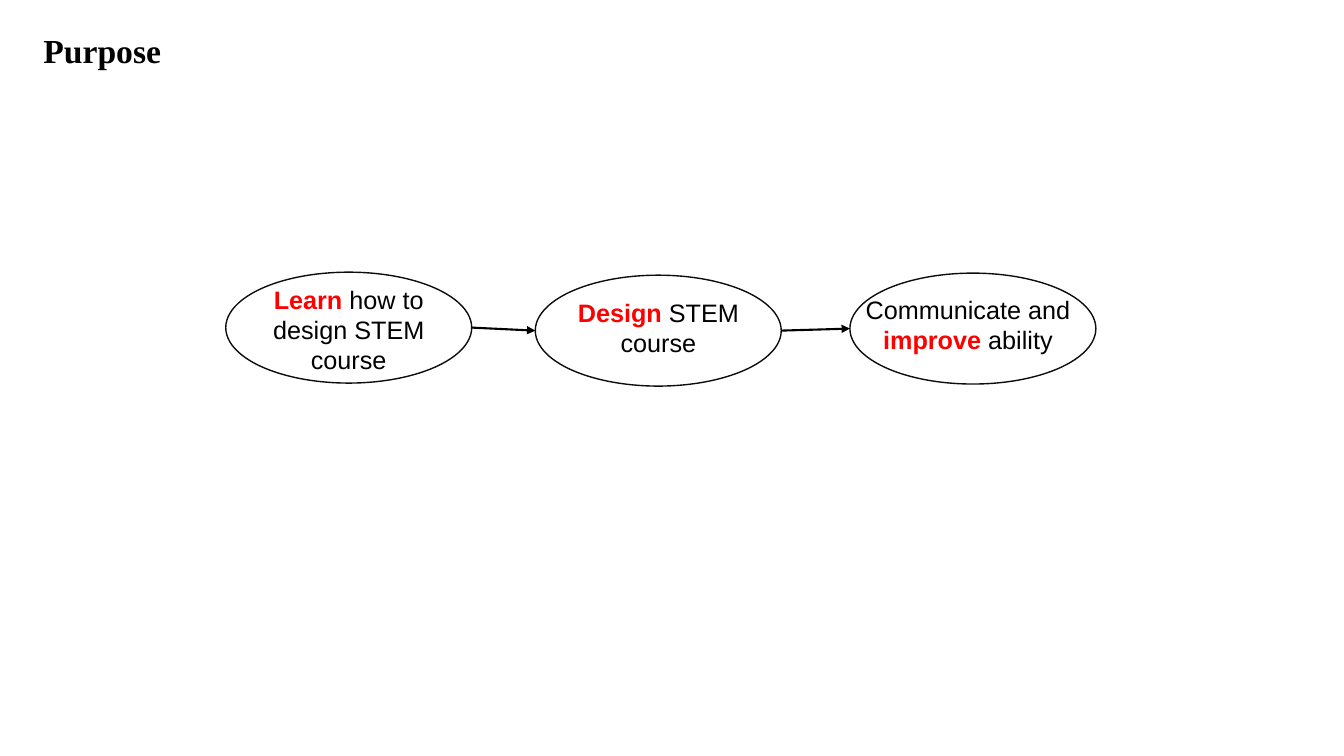
from typing import NamedTuple

from lxml.etree import SubElement
from pptx import Presentation
from pptx.dml.color import RGBColor
from pptx.enum.shapes import MSO_CONNECTOR as Connector, MSO_SHAPE as Shape
from pptx.enum.text import MSO_ANCHOR as Anchor, MSO_AUTO_SIZE as AutoSize, PP_ALIGN as Align
from pptx.oxml.ns import qn
from pptx.util import Inches, Pt

WIDTH, HEIGHT = Inches(13.33), Inches(7.5)
COLORS = {"text": "000000", "accent": "FF0000", "outline": "0D0D0D"}
OVAL_W, OVAL_H = 18.3, 14.67  # percent of the slide's width and height


class Box(NamedTuple):
    """Position and size in percent of the slide's width and height."""
    left: float
    top: float
    width: float
    height: float

    def emu(self) -> tuple:
        return x(self.left), y(self.top), x(self.width), y(self.height)


class Step(NamedTuple):
    left: float
    top: float
    label: Box
    runs: tuple  # (text, is emphasised)


STEPS = (
    Step(16.8, 36, Box(18.15, 36.93, 15.6, 13.47),
         (("Learn ", True), ("how to design STEM course", False))),
    Step(39.83, 36.4, Box(41.19, 38.67, 15.6, 9.47),
         (("Design ", True), ("STEM course", False))),
    Step(63.24, 36.13, Box(63.54, 38.27, 16.95, 9.47),
         (("Communicate and ", False), ("improve", True), (" ability", False))),
)


def x(percent: float) -> int:
    return round(WIDTH * percent / 100)


def y(percent: float) -> int:
    return round(HEIGHT * percent / 100)


def rgb(name: str) -> RGBColor:
    return RGBColor.from_string(COLORS[name])


def set_attrs(obj, values: dict) -> None:
    for name, value in values.items():
        setattr(obj, name, value)


def add_run(p, text: str, font: str, size: int, bold: bool, color: str) -> None:
    r = p.add_run()
    r.text = text
    set_attrs(r.font, {"name": font, "size": Pt(size), "bold": bold})
    r.font.color.rgb = rgb(color)


def add_title(slide, text: str, box: Box) -> None:
    sp = slide.shapes.title
    set_attrs(sp, dict(zip(("left", "top", "width", "height"), box.emu())))
    tf = sp.text_frame
    set_attrs(tf, {"word_wrap": True, "auto_size": AutoSize.NONE,
                   "vertical_anchor": Anchor.TOP})
    p = tf.paragraphs[0]
    set_attrs(p, {"alignment": Align.LEFT, "line_spacing": 0.9})
    add_run(p, text, "Times New Roman", 24, True, "text")


def add_step(slide, step: Step) -> None:
    """Draw an outlined oval grouped with its label."""
    group = slide.shapes.add_group_shape()
    oval = Box(step.left, step.top, OVAL_W, OVAL_H)
    sp = group.shapes.add_shape(Shape.OVAL, *oval.emu())
    sp.shadow.inherit = False
    sp.fill.background()
    sp.line.color.rgb = rgb("outline")
    sp.line.width = Pt(1)
    tf = group.shapes.add_textbox(*step.label.emu()).text_frame
    set_attrs(tf, {"word_wrap": True, "auto_size": AutoSize.SHAPE_TO_FIT_TEXT})
    p = tf.paragraphs[0]
    p.alignment = Align.CENTER
    for text, strong in step.runs:
        add_run(p, text, "Arial", 18, strong, "accent" if strong else "text")


def add_arrow(slide, start: Step, end: Step) -> None:
    """Join the right tip of one oval to the left tip of the next."""
    line = slide.shapes.add_connector(
        Connector.STRAIGHT,
        x(start.left + OVAL_W), y(start.top + OVAL_H / 2),
        x(end.left), y(end.top + OVAL_H / 2))
    line.line.color.rgb = rgb("text")
    line.line.width = Pt(1.5)
    SubElement(line.line._get_or_add_ln(), qn("a:tailEnd"), type="triangle")
    SubElement(line._element.spPr, qn("a:effectLst"))


def main() -> None:
    prs = Presentation()
    set_attrs(prs, {"slide_width": WIDTH, "slide_height": HEIGHT})
    slide = prs.slides.add_slide(prs.slide_layouts[5])
    add_title(slide, "Purpose", Box(2.48, 3.87, 41.04, 9.2))
    for step in STEPS:
        add_step(slide, step)
    for start, end in zip(STEPS, STEPS[1:]):
        add_arrow(slide, start, end)
    prs.save("out.pptx")


if __name__ == "__main__":
    main()
